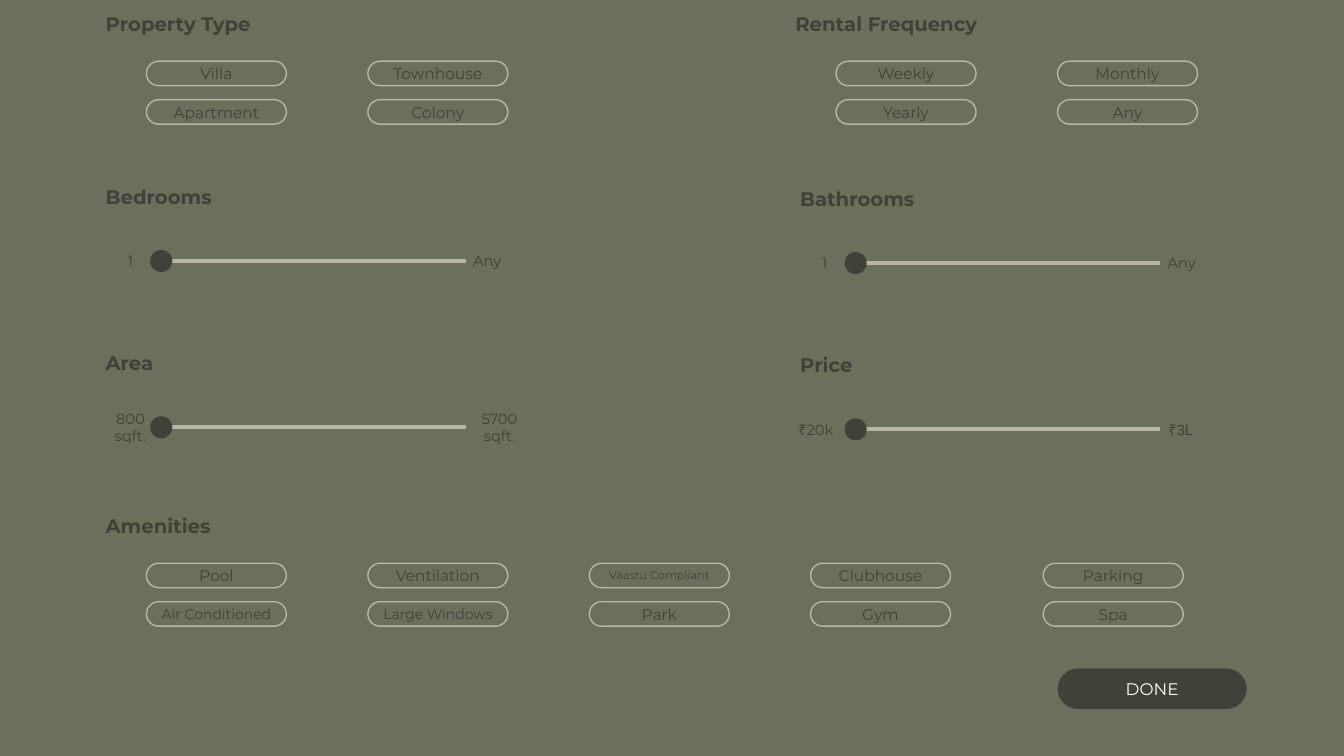
import pptx
import pptx.dml.color
import pptx.enum.shapes
import pptx.enum.text
import pptx.oxml.ns
import pptx.util
from lxml import etree

Pt = pptx.util.Pt
SHAPE = pptx.enum.shapes.MSO_SHAPE
ALIGN = pptx.enum.text.PP_ALIGN
ANCHOR = pptx.enum.text.MSO_ANCHOR

OLIVE, DARK, SAND, WHITE = "6B705C", "3F4238", "B7B7A4", "FFFFFF"
FONT, RUPEE_FONT = "Montserrat", "Arial"

# Chip grid, relative to the left and top of a section
CHIP_LEFTS = (36.2, 194.4, 352.6, 510.6, 676.8)
CHIP_TOP, CHIP_PITCH = 38.7, 27.5
CHIP_WIDTH, CHIP_HEIGHT = 100, 17.5
SMALL_CHIPS = {"Air Conditioned": 10, "Large Windows": 10, "Vaastu Compliant": 8}

# Slider, relative to the left and top of a section
TRACK_LEFT, TRACK_RIGHT, TRACK_Y = 46, 264.2, 58.2
KNOB = 15.8
LABEL_WIDTH, LABEL_HEIGHT = 42, 18


def color(value):
    return pptx.dml.color.RGBColor.from_string(value)


def write(shape, runs, size=11, ink=DARK, bold=False, align=ALIGN.CENTER,
          anchor=ANCHOR.MIDDLE, inset=0):
    """Write a string, or (text, font) pairs, into a shape."""
    frame = shape.text_frame
    frame.word_wrap = True
    frame.vertical_anchor = anchor
    frame.margin_left = frame.margin_right = Pt(inset)
    frame.margin_top = frame.margin_bottom = Pt(inset / 2)
    para = frame.paragraphs[0]
    para.alignment = align
    for words, font in [(runs, FONT)] if isinstance(runs, str) else runs:
        span = para.add_run()
        span.text = words
        span.font.name = font
        span.font.size = Pt(size)
        span.font.bold = bold
        span.font.color.rgb = color(ink)


def text(page, runs, left, top, width, height, **style):
    box = page.shapes.add_textbox(Pt(left), Pt(top), Pt(width), Pt(height))
    write(box, runs, **style)


def shape(page, kind, left, top, width, height, fill=None, line=None):
    item = page.shapes.add_shape(kind, Pt(left), Pt(top), Pt(width), Pt(height))
    item.shadow.inherit = False
    if fill:
        item.fill.solid()
        item.fill.fore_color.rgb = color(fill)
    else:
        item.fill.background()
    if line:
        item.line.color.rgb = color(line)
        item.line.width = Pt(1)
    else:
        item.line.fill.background()
    return item


def pill(page, words, left, top, width, height, fill=None, line=None, **style):
    item = shape(page, SHAPE.ROUNDED_RECTANGLE, left, top, width, height, fill, line)
    item.adjustments[0] = 0.5
    write(item, words, **style)


def heading(page, words, left, top):
    text(page, words, left, top, 178.5, 24.5, size=14, bold=True,
         align=ALIGN.LEFT, anchor=ANCHOR.TOP, inset=7.2)


def chip_section(page, title, rows, left, top):
    heading(page, title, left, top)
    for row, names in enumerate(rows):
        for chip_left, name in zip(CHIP_LEFTS, names):
            pill(page, name, left + chip_left, top + CHIP_TOP + row * CHIP_PITCH,
                 CHIP_WIDTH, CHIP_HEIGHT, line=SAND, size=SMALL_CHIPS.get(name, 11))


def slider_section(page, title, low, high, left, top, low_center=24.8, high_center=279.7):
    heading(page, title, left, top)
    middle = top + TRACK_Y
    # Track and knob
    track = page.shapes.add_connector(
        pptx.enum.shapes.MSO_CONNECTOR.STRAIGHT,
        Pt(left + TRACK_LEFT), Pt(middle), Pt(left + TRACK_RIGHT), Pt(middle))
    track.line.color.rgb = color(SAND)
    track.line.width = Pt(3)
    etree.SubElement(track._element.spPr, pptx.oxml.ns.qn("a:effectLst"))
    shape(page, SHAPE.OVAL, left + TRACK_LEFT - KNOB / 2 + 0.8, middle - KNOB / 2,
          KNOB, KNOB, fill=DARK)
    # End labels
    for words, center in ((low, low_center), (high, high_center)):
        text(page, words, left + center - LABEL_WIDTH / 2, middle - LABEL_HEIGHT / 2,
             LABEL_WIDTH, LABEL_HEIGHT, size=10.5)


def filter_page(deck):
    page = deck.slides.add_slide(deck.slide_layouts[6])
    page.background.fill.solid()
    page.background.fill.fore_color.rgb = color(OLIVE)

    # Choices at the top
    chip_section(page, "Property Type",
                 [("Villa", "Townhouse"), ("Apartment", "Colony")], 68.4, 5)
    chip_section(page, "Rental Frequency",
                 [("Weekly", "Monthly"), ("Yearly", "Any")], 561, 5)

    # Sliders
    slider_section(page, "Bedrooms", "1", "Any", 68.4, 128.2)
    slider_section(page, "Bathrooms", "1", "Any", 564.4, 129.7)
    slider_section(page, "Area", "800 sqft.", "5700 sqft.", 68.4, 247,
                   high_center=288.4)
    slider_section(page, "Price", [("₹", RUPEE_FONT), ("20k", FONT)],
                   [("₹3L", RUPEE_FONT)], 564.4, 248.5, low_center=18.4, high_center=279)

    # Amenities and the button
    chip_section(page, "Amenities", [
        ("Pool", "Ventilation", "Vaastu Compliant", "Clubhouse", "Parking"),
        ("Air Conditioned", "Large Windows", "Park", "Gym", "Spa"),
    ], 68.4, 363.6)
    pill(page, "DONE", 755.5, 477.5, 135, 29, fill=DARK, size=12, ink=WHITE)


def main():
    deck = pptx.Presentation()
    deck.slide_width, deck.slide_height = Pt(960), Pt(540)
    filter_page(deck)
    deck.save("out.pptx")


if __name__ == "__main__":
    main()
